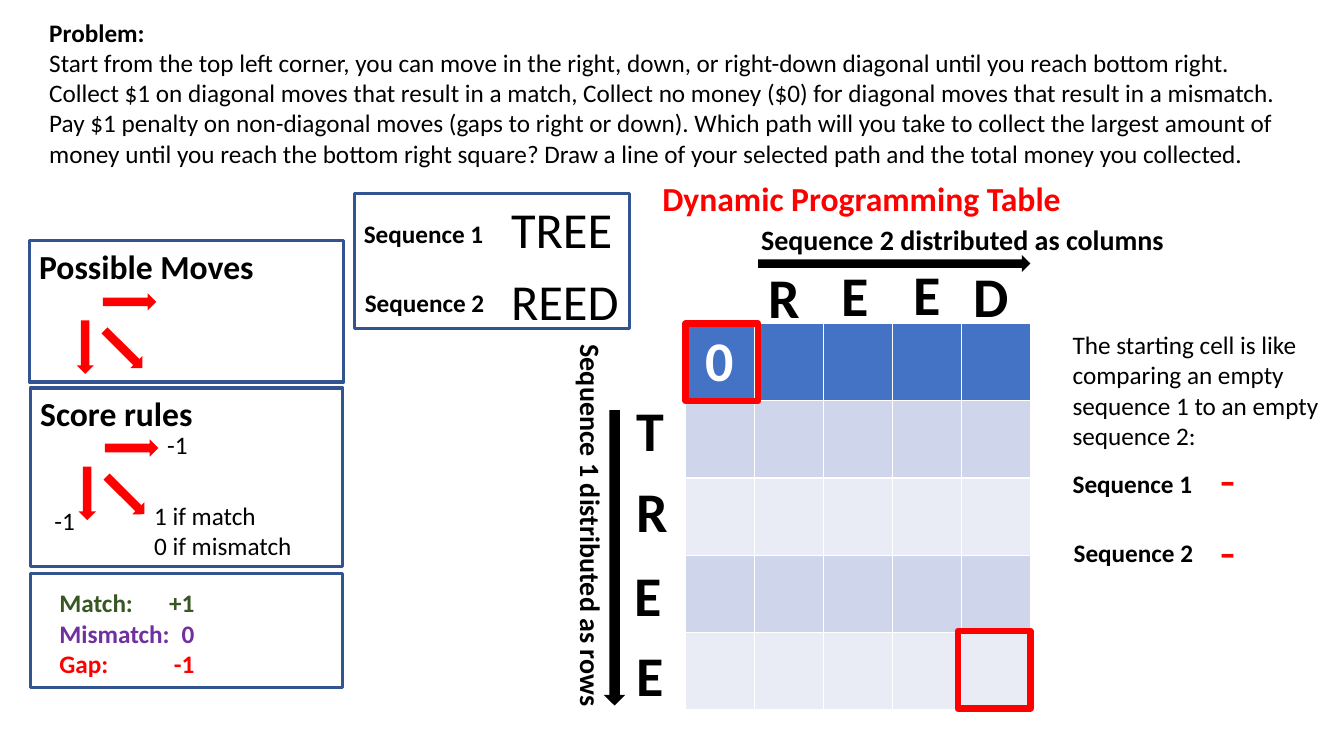
"""Build the dynamic programming table exercise slide."""
import pptx
import pptx.dml.color
import pptx.enum.shapes
import pptx.enum.text
import pptx.oxml
import pptx.oxml.ns
import pptx.util

Inches = pptx.util.Inches
Align = pptx.enum.text.PP_ALIGN
Preset = pptx.enum.shapes.MSO_SHAPE
BLACK, RED, NAVY = "000000", "FF0000", "325491"


def color(value):
    """Turn a hex string into a colour."""
    return pptx.dml.color.RGBColor.from_string(value)


def add_text(left, top, width, height, lines, size, bold=False, fill=BLACK,
             wrap=False, align=Align.LEFT, rotation=0):
    """Add a text box with one paragraph per line and return it."""
    box = slide.shapes.add_textbox(
        Inches(left), Inches(top), Inches(width), Inches(height))
    box.rotation = rotation
    box.text_frame.word_wrap = wrap
    box.text_frame.text = "\n".join(lines)
    text_format = {"name": "Calibri", "size": pptx.util.Pt(size), "bold": bold}
    for paragraph in box.text_frame.paragraphs:
        paragraph.alignment = align
        for run in paragraph.runs:
            for attribute, value in text_format.items():
                setattr(run.font, attribute, value)
            run.font.color.rgb = color(fill)
    return box


presentation = pptx.Presentation()
presentation.slide_width = Inches(13.33)
presentation.slide_height = Inches(7.5)
slide = presentation.slides.add_slide(presentation.slide_layouts[6])

problem = add_text(0.39, 0.12, 12.46, 1.62, [
    "Problem:",
    "Start from the top left corner, you can move in the right, down, or "
    "right-down diagonal until you reach bottom right.",
    "Collect $1 on diagonal moves that result in a match, Collect no money ($0) "
    "for diagonal moves that result in a mismatch. Pay $1 penalty on non-diagonal "
    "moves (gaps to right or down). Which path will you take to collect the "
    "largest amount of money until you reach the bottom right square? Draw a line "
    "of your selected path and the total money you collected.",
], 18, wrap=True)
problem.text_frame.paragraphs[0].runs[0].font.bold = True

table = slide.shapes.add_table(
    5, 5, Inches(6.8), Inches(3.21), Inches(3.42), Inches(3.83)).table
row_fills = ["4472C4", "CFD5EA", "E9EBF5", "CFD5EA", "E9EBF5"]
for row_index, row_fill in enumerate(row_fills):
    for column_index in range(5):
        cell = table.cell(row_index, column_index)
        cell.fill.solid()
        cell.fill.fore_color.rgb = color(row_fill)
start_cell = table.cell(0, 0)
start_cell.text = "0"
start_paragraph = start_cell.text_frame.paragraphs[0]
start_paragraph.alignment = Align.CENTER
start_format = {"name": "Calibri", "size": pptx.util.Pt(40), "bold": True}
for attribute, value in start_format.items():
    setattr(start_paragraph.runs[0].font, attribute, value)
start_paragraph.runs[0].font.color.rgb = color("FFFFFF")

column_letters = [("R", 7.52, 2.56), ("E", 8.25, 2.54), ("E", 8.96, 2.53), ("D", 9.56, 2.55)]
for letter, left, top in column_letters:
    add_text(left, top, 0.5, 0.77, [letter], 40, bold=True, wrap=True)
row_letters = [("T", 6.69, 3.87), ("R", 6.69, 4.68), ("E", 6.66, 5.51), ("E", 6.68, 6.31)]
for letter, right, top in row_letters:
    add_text(right - 0.48, top, 0.48, 0.77, [letter], 40, bold=True, wrap=True,
             align=Align.RIGHT)

arrows = [
    (7.52, 2.53, 2.7, 0.17, 0, BLACK),
    (4.63, 5.43, 2.93, 0.21, 90, BLACK),
]
for shift_x, shift_y in [(0, 0), (0.02, 1.45)]:
    for left, top, rotation in [(0.58, 3.36, 90), (1.02, 2.91, 0), (0.96, 3.38, 44.8)]:
        arrows.append((left + shift_x, top + shift_y, 0.53, 0.17, rotation, RED))
for left, top, width, height, rotation, fill in arrows:
    arrow = slide.shapes.add_shape(
        Preset.RIGHT_ARROW, Inches(left), Inches(top), Inches(width), Inches(height))
    arrow.rotation = rotation
    arrow.shadow.inherit = False
    arrow.fill.solid()
    arrow.fill.fore_color.rgb = color(fill)
    arrow.line.fill.background()

frames = [
    (0.29, 2.39, 3.12, 1.4, NAVY, 2.25),
    (0.3, 3.85, 3.1, 1.77, NAVY, 2.25),
    (0.3, 5.69, 3.1, 1.13, NAVY, 2.25),
    (3.52, 1.92, 2.72, 1.34, NAVY, 2.25),
    (6.8, 3.21, 0.72, 0.77, RED, 4.5),
    (9.5, 6.26, 0.72, 0.77, RED, 4.5),
]
for left, top, width, height, line_color, line_width in frames:
    frame = slide.shapes.add_shape(
        Preset.RECTANGLE, Inches(left), Inches(top), Inches(width), Inches(height))
    frame.shadow.inherit = False
    frame.fill.background()
    frame.line.color.rgb = color(line_color)
    frame.line.width = pptx.util.Pt(line_width)

add_text(0.29, 2.39, 2.35, 0.5, ["Possible Moves"], 24, bold=True)
add_text(0.3, 3.85, 1.73, 0.5, ["Score rules"], 24, bold=True)
add_text(1.43, 4.91, 1.58, 0.71, ["1 if match", "0 if mismatch"], 18)
for left, top in [(1.56, 4.21), (0.44, 4.96)]:
    add_text(left, top, 0.41, 0.4, ["-1"], 18)

scores = add_text(0.49, 5.78, 1.58, 1.01,
                  ["Match:\t+1", "Mismatch:\t0", "Gap:\t-1"], 18, bold=True, wrap=True)
for paragraph, fill in zip(scores.text_frame.paragraphs, ["385723", "7030A0", RED]):
    tab_list = pptx.oxml.parse_xml(
        f'<a:tabLst {pptx.oxml.ns.nsdecls("a")}>'
        f'<a:tab pos="{Inches(1.34)}" algn="r"/></a:tabLst>')
    paragraph._p.get_or_add_pPr().append(tab_list)
    for run in paragraph.runs:
        run.font.color.rgb = color(fill)

add_text(6.47, 1.72, 4.19, 0.5, ["Dynamic Programming Table"], 24, bold=True, fill=RED)
add_text(7.45, 2.16, 4.23, 0.44, ["Sequence 2 distributed as columns"], 20, bold=True)
add_text(3.95, 5.01, 3.82, 0.44, ["Sequence 1 distributed as rows"], 20, bold=True,
         rotation=90)

add_text(10.54, 3.22, 2.7, 1.31, [
    "The starting cell is like comparing an empty sequence 1 to an empty sequence 2:",
], 18, wrap=True)
sequence_blocks = [
    (3.51, 2.12, 4.97, 1.92, ["TREE", "REED"], 1.28, BLACK),
    (10.54, 4.6, 12, 4.4, ["-", "-"], 0.36, RED),
]
for label_left, label_top, value_left, value_top, values, width, fill in sequence_blocks:
    for index, value in enumerate(values):
        add_text(label_left + 0.01 * index, label_top + 0.68 * index, 1.39, 0.4,
                 [f"Sequence {index + 1}"], 18, bold=True)
        add_text(value_left, value_top + 0.71 * index, width, 0.71, [value], 36,
                 fill=fill, wrap=True)

presentation.save("out.pptx")
